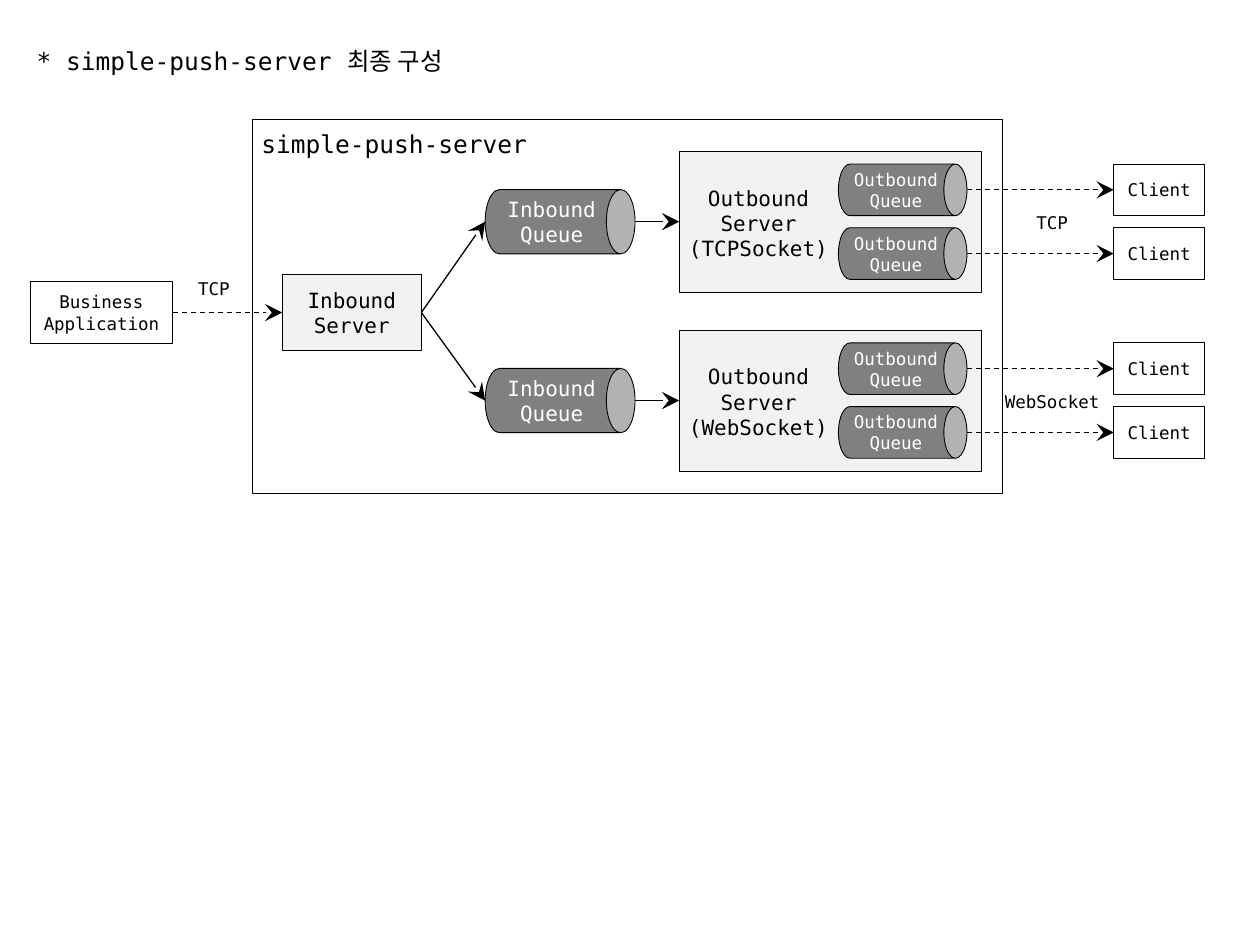
from collections import namedtuple
from dataclasses import dataclass

from lxml import etree
from pptx import Presentation
from pptx.dml.color import RGBColor
from pptx.enum import dml, shapes, text
from pptx.oxml import ns
from pptx.util import Pt


@dataclass(frozen=True)
class Theme:
    """Colours, type sizes and line widths of the slide."""
    font: str = "DejaVu Sans Mono"
    ink: str = "000000"
    paper: str = "FFFFFF"
    server: str = "F2F2F2"
    queue: str = "808080"
    heading: float = 14
    body: float = 12
    small: float = 10
    outline: float = 0.5
    arrow: float = 0.75


THEME = Theme()
Box = namedtuple("Box", "left top width height")


def centred(x, y, width, height):
    """Return the box of a given size around a centre."""
    return Box(x - width / 2, y - height / 2, width, height)


def middle(box):
    """Return the vertical centre of a box."""
    return box.top + box.height / 2


def points(*lengths):
    """Turn numbers into point lengths."""
    return [Pt(round(length, 2)) for length in lengths]


def write(frame, lines, size, color, align=text.PP_ALIGN.CENTER):
    """Fill a text frame with one paragraph per line."""
    frame.margin_left = frame.margin_right = frame.margin_top = frame.margin_bottom = 0
    frame.word_wrap = False
    frame.auto_size = text.MSO_AUTO_SIZE.NONE
    frame.vertical_anchor = text.MSO_ANCHOR.MIDDLE
    for index, line in enumerate(lines):
        paragraph = frame.add_paragraph() if index else frame.paragraphs[0]
        paragraph.alignment = align
        run = paragraph.add_run()
        run.text = line
        run.font.name = THEME.font
        run.font.size = Pt(size)
        run.font.color.rgb = RGBColor.from_string(color)


def add_label(slide, x, y, lines, size, color=THEME.ink):
    """Place text around a centre, sized by its monospaced letters."""
    box = centred(x, y, 0.6 * size * max(map(len, lines)), 1.2 * size * len(lines))
    write(slide.shapes.add_textbox(*points(*box)).text_frame, lines, size, color)


def add_outlined(slide, kind, box, fill=None):
    """Place a thinly outlined shape, hollow when it has no fill."""
    shape = slide.shapes.add_shape(kind, *points(*box))
    shape.shadow.inherit = False
    if fill:
        shape.fill.solid()
        shape.fill.fore_color.rgb = RGBColor.from_string(fill)
    else:
        shape.fill.background()
    shape.line.color.rgb = RGBColor.from_string(THEME.ink)
    shape.line.width = Pt(THEME.outline)
    return shape


def add_node(slide, box, lines, size, fill=THEME.paper):
    """Place a rectangle with centred text."""
    node = add_outlined(slide, shapes.MSO_SHAPE.RECTANGLE, box, fill)
    write(node.text_frame, lines, size, THEME.ink)


def add_queue(slide, box, lines, size):
    """Place a can lying on its side, with its label on the body."""
    x, y = box.left + box.width / 2, middle(box)
    can = add_outlined(slide, shapes.MSO_SHAPE.CAN,
                       centred(x, y, box.height, box.width), THEME.queue)
    can.rotation = 90
    can.adjustments[0] = 0.447
    add_label(slide, x - 0.13 * box.height, y, lines, size, THEME.paper)


def add_arrow(slide, start, end, dashed=False):
    """Draw a straight arrow between two points."""
    arrow = slide.shapes.add_connector(shapes.MSO_CONNECTOR.STRAIGHT, *points(*start, *end))
    arrow.line.color.rgb = RGBColor.from_string(THEME.ink)
    arrow.line.width = Pt(THEME.arrow)
    if dashed:
        arrow.line.dash_style = dml.MSO_LINE.DASH
    outline = arrow.line._get_or_add_ln()
    etree.SubElement(outline, ns.qn("a:tailEnd"), type="stealth", w="lg", len="lg")
    etree.SubElement(arrow._element.spPr, ns.qn("a:effectLst"))


def add_title(slide, box, title):
    """Move and format the title placeholder."""
    heading = slide.shapes.title
    heading.left, heading.top, heading.width, heading.height = points(*box)
    write(heading.text_frame, [title], THEME.heading, THEME.ink, text.PP_ALIGN.LEFT)


def add_source(slide, box, inbound):
    """Place the business application and its link to the inbound server."""
    y = middle(box)
    add_node(slide, box, ["Business", "Application"], THEME.small)
    add_arrow(slide, (box.left + box.width, y), (inbound.left, y), dashed=True)
    add_label(slide, 122.2, y - 13.7, ["TCP"], THEME.small)


def add_lane(slide, box, inbound, protocol, socket):
    """Place one row from inbound queue to clients."""
    y = middle(box)
    queue = centred(box.left + 42.84, y, 85.68, 36.72)
    server = Box(box.left + 110.9, box.top, 172.8, box.height)
    add_node(slide, server, [], THEME.body, THEME.server)
    add_queue(slide, queue, ["Inbound", "Queue"], THEME.body)
    add_arrow(slide, (inbound.left + inbound.width, middle(inbound)), (queue.left, y))
    add_arrow(slide, (queue.left + queue.width, y), (server.left, y))
    add_label(slide, server.left + 45.36, y + 0.7,
              ["Outbound", "Server", f"({socket})"], THEME.body)
    for row in (y - 18.2, y + 18.2):
        outbound = centred(server.left + 127.7, row, 73.44, 29.52)
        client = centred(box.left + box.width - 25.92, row, 51.84, 29.52)
        add_queue(slide, outbound, ["Outbound", "Queue"], THEME.small)
        add_node(slide, client, ["Client"], THEME.small)
        add_arrow(slide, (outbound.left + outbound.width, row), (client.left, row), dashed=True)
    add_label(slide, box.left + 324, y + 0.5, [protocol], THEME.small)


def add_push_server(slide, box, name):
    """Frame the push server and name it."""
    add_outlined(slide, shapes.MSO_SHAPE.RECTANGLE, box)
    add_label(slide, box.left + 81.4, box.top + 13.7, [name], THEME.heading)


def main():
    """Build and save the slide."""
    deck = Presentation()
    deck.slide_width, deck.slide_height = points(720, 540)
    slide = deck.slides.add_slide(deck.slide_layouts[5])
    inbound = Box(161.3, 157, 79.5, 43.2)
    add_title(slide, Box(20.9, 25.9, 242.6, 17.3), "* simple-push-server 최종 구성")
    add_node(slide, inbound, ["Inbound", "Server"], THEME.body, THEME.server)
    lanes = [("TCP", "TCPSocket"), ("WebSocket", "WebSocket")]
    for index, (protocol, socket) in enumerate(lanes):
        lane = Box(277.2, 86.4 + index * 102.2, 411.1, 80.6)
        add_lane(slide, lane, inbound, protocol, socket)
    add_source(slide, Box(17.3, 161, 81.4, 35.2), inbound)
    add_push_server(slide, Box(144, 68.4, 429.1, 213.8), "simple-push-server")
    deck.save("out.pptx")


if __name__ == "__main__":
    main()
